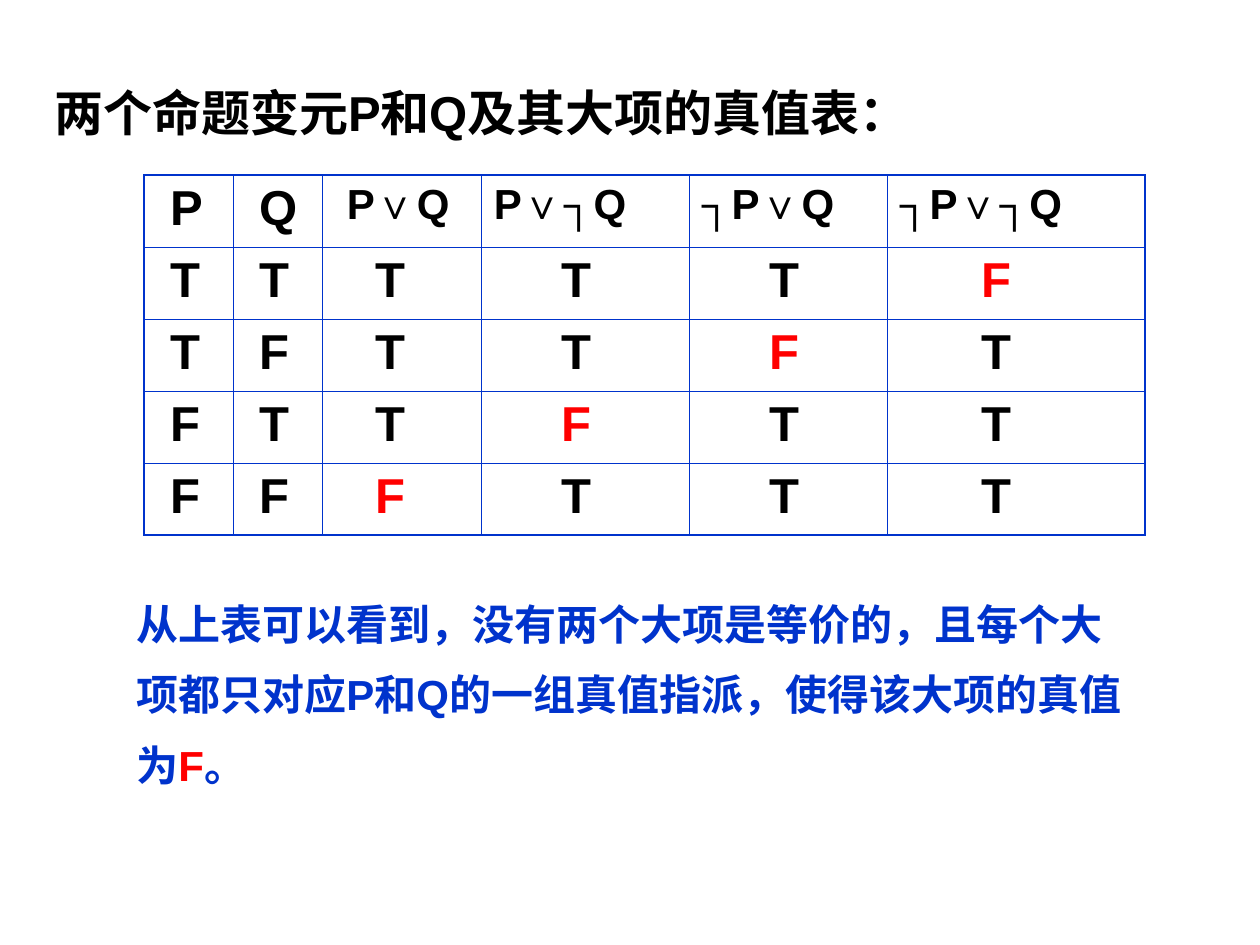
import pptx
import pptx.dml.color
import pptx.enum.text
import pptx.oxml.ns
import pptx.util
from lxml import etree

PX = 914400 // 126
BLACK, BLUE, RED = "000000", "0033CC", "FF0000"
COL_WIDTHS = [89, 89, 159, 208, 198, 258]
ROW_HEIGHT = 72
INSET = 13
HEADER = ["P", "Q", "P∨Q", "P∨┐Q", "┐P∨Q", "┐P∨┐Q"]
HEADER_INDENTS = [14, 14, 12, 0, 0, 0]
VALUES = ["TTTTTF", "TFTTFT", "FTTFTT", "FFFTTT"]
VALUE_INDENTS = [14, 14, 41, 68, 68, 82]


def px(n):
    return pptx.util.Emu(n * PX)


def rgb(color):
    return pptx.dml.color.RGBColor.from_string(color)


def add_text(p, text, size=28, color=BLACK):
    r = p.add_run()
    r.text = text
    r.font.name = "Arial"
    r.font.size = pptx.util.Pt(size)
    r.font.bold = True
    r.font.color.rgb = rgb(color)


def set_borders(cell, widths):
    """Draw the sides of a cell; widths maps L, R, T and B to points."""
    tc_pr = cell._tc.get_or_add_tcPr()
    qn = pptx.oxml.ns.qn
    for side, width in widths.items():
        ln = etree.SubElement(tc_pr, qn("a:ln" + side), w=str(pptx.util.Pt(width)))
        fill = etree.SubElement(ln, qn("a:solidFill"))
        etree.SubElement(fill, qn("a:srgbClr"), val=BLUE)


def add_heading(slide, x, y, w, h):
    sp = slide.shapes.title
    sp.left, sp.top, sp.width, sp.height = px(x), px(y), px(w), px(h)
    tf = sp.text_frame
    tf.vertical_anchor = pptx.enum.text.MSO_ANCHOR.TOP
    tf.auto_size = pptx.enum.text.MSO_AUTO_SIZE.NONE
    p = tf.paragraphs[0]
    p.alignment = pptx.enum.text.PP_ALIGN.LEFT
    add_text(p, "两个命题变元P和Q及其大项的真值表：")


def add_truth_table(slide, x, y):
    rows = [HEADER, *VALUES]
    last_row, last_col = len(rows) - 1, len(HEADER) - 1
    table = slide.shapes.add_table(
        len(rows), len(HEADER), px(x), px(y),
        px(sum(COL_WIDTHS)), px(ROW_HEIGHT * len(rows))).table
    table.first_row = table.horz_banding = False
    for col, width in zip(table.columns, COL_WIDTHS):
        col.width = px(width)
    for i, row in enumerate(rows):
        table.rows[i].height = px(ROW_HEIGHT)
        indents = VALUE_INDENTS if i else HEADER_INDENTS
        for j, text in enumerate(row):
            cell = table.cell(i, j)
            outer = {"L": j == 0, "R": j == last_col, "T": i == 0, "B": i == last_row}
            set_borders(cell, {side: 1.08 if edge else 0.45 for side, edge in outer.items()})
            cell.fill.background()
            cell.margin_left = px(INSET + indents[j])
            size = 24 if i == 0 and j > 1 else 28
            color = RED if text == "F" and j > 1 else BLACK
            add_text(cell.text_frame.paragraphs[0], text, size=size, color=color)


def add_conclusion(slide, x, y, w, h):
    tf = slide.shapes.add_textbox(px(x), px(y), px(w), px(h)).text_frame
    tf.word_wrap = True
    p = tf.paragraphs[0]
    p.line_spacing = 1.4
    add_text(p, "从上表可以看到，没有两个大项是等价的，且每个大项都只对应P和Q的一组真值指派，"
                "使得该大项的真值为", size=24, color=BLUE)
    add_text(p, "F", size=24, color=RED)
    add_text(p, "。", size=24, color=BLUE)


def main():
    prs = pptx.Presentation()
    prs.slide_width, prs.slide_height = px(1260), px(945)
    slide = prs.slides.add_slide(prs.slide_layouts.get_by_name("Title Only"))
    add_heading(slide, 42, 76, 1183, 89)
    add_truth_table(slide, 144, 175)
    add_conclusion(slide, 124, 572, 1022, 224)
    prs.save("out.pptx")


if __name__ == "__main__":
    main()
